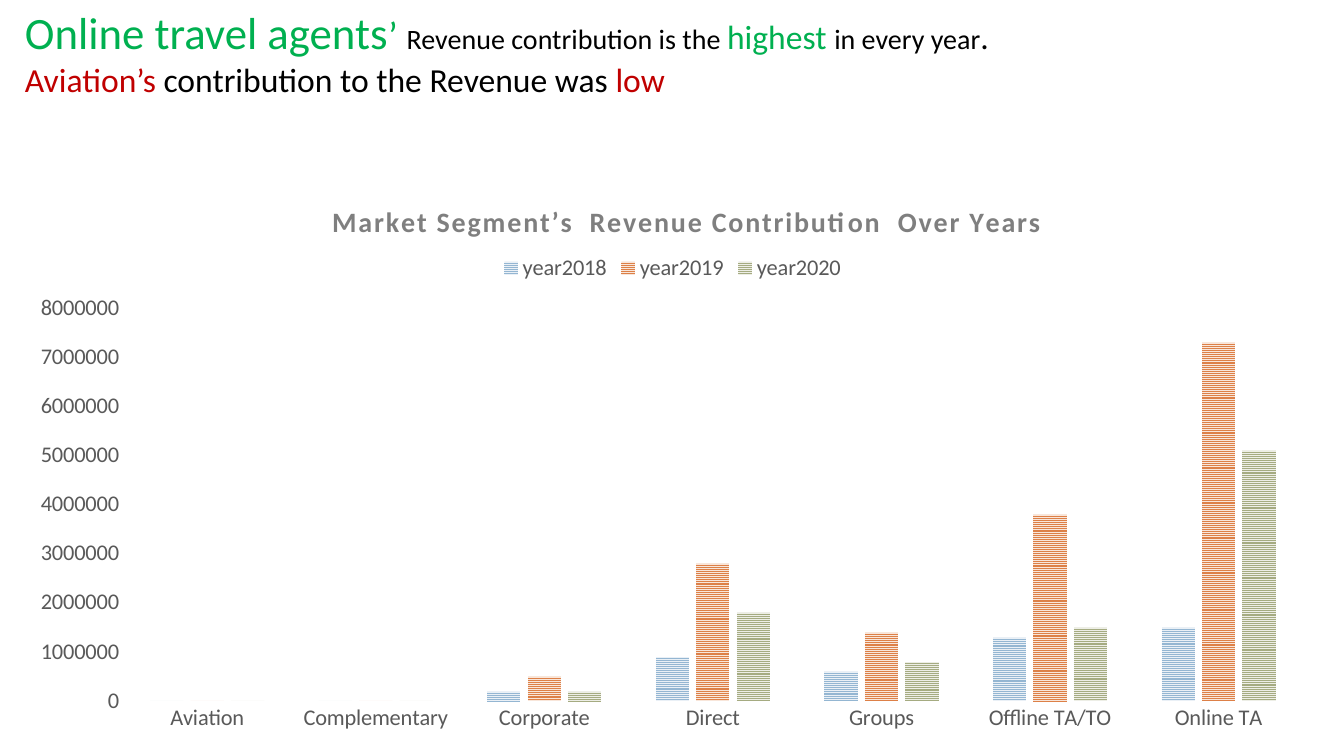
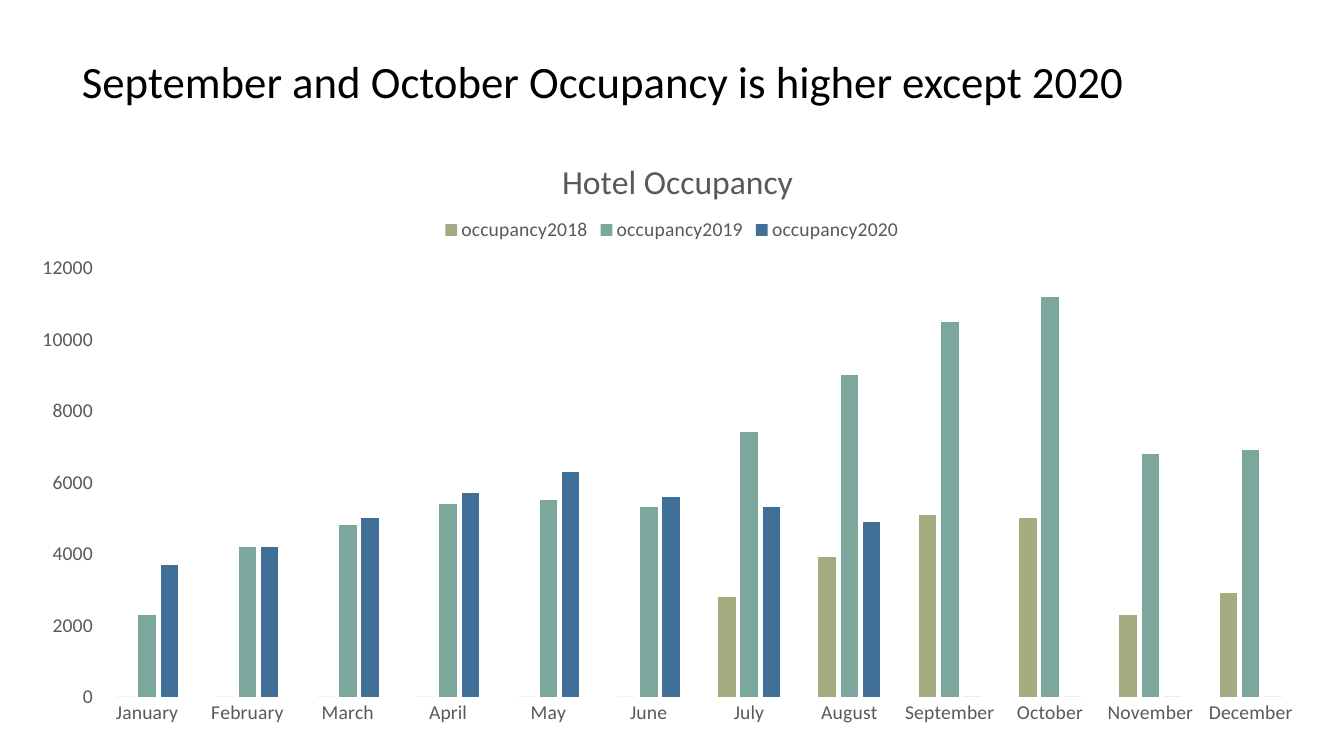
from lxml.etree import SubElement
from pptx import Presentation
from pptx.chart.data import CategoryChartData
from pptx.dml.color import RGBColor
from pptx.enum.chart import XL_CHART_TYPE, XL_LEGEND_POSITION, XL_TICK_MARK
from pptx.enum.dml import MSO_PATTERN
from pptx.enum.text import MSO_AUTO_SIZE, PP_ALIGN
from pptx.oxml.ns import qn
from pptx.util import Pt

EMU_PER_PX = 914400 / 100.8
FONT = "Calibri"
COLORS = {
    "black": "000000", "green": "00B050", "red": "C00000",
    "label": "595959", "heading": "7F7F7F",
    "blue": "94B6D2", "pale_blue": "EAF0F6",
    "orange": "DD8047", "pale_orange": "F8E6DA",
    "olive": "A5AB81", "pale_olive": "EDEEE6",
    "teal": "7BA79D", "navy": "407097",
}


def px(n):
    return round(n * EMU_PER_PX)


def rgb(name):
    return RGBColor.from_string(COLORS[name])


def style_font(font, size, color, bold=False):
    font.name = FONT
    font.size = Pt(size)
    font.bold = bold
    font.color.rgb = rgb(color)


def add_run(p, text, size=24, color="black", bold=False, spacing=0):
    r = p.add_run()
    r.text = text
    style_font(r.font, size, color, bold)
    if spacing:
        r._r.get_or_add_rPr().set("spc", str(spacing))


def add_text(slide, box, paragraphs, align=PP_ALIGN.LEFT):
    tf = slide.shapes.add_textbox(*map(px, box)).text_frame
    tf.word_wrap = True
    tf.auto_size = MSO_AUTO_SIZE.SHAPE_TO_FIT_TEXT
    for i, runs in enumerate(paragraphs):
        p = tf.add_paragraph() if i else tf.paragraphs[0]
        p.alignment = align
        for text, size, color in runs:
            add_run(p, text, size=size, color=color)


def place(element, index, chart_box, x, y, w=None, h=None):
    for old in element.findall(qn("c:layout")):
        element.remove(old)
    layout = SubElement(element, qn("c:layout"))
    element.insert(index, layout)
    manual = SubElement(layout, qn("c:manualLayout"))
    left, top, width, height = chart_box
    settings = [("xMode", "edge"), ("yMode", "edge"),
                ("x", (x - left) / width), ("y", (y - top) / height)]
    if w:
        settings.insert(0, ("layoutTarget", "inner"))
        settings += [("w", w / width), ("h", h / height)]
    for tag, value in settings:
        SubElement(manual, qn("c:" + tag)).set("val", str(value))


def style_axis(axis, size):
    axis.has_major_gridlines = False
    axis.major_tick_mark = XL_TICK_MARK.NONE
    axis.minor_tick_mark = XL_TICK_MARK.NONE
    axis.format.line.fill.background()
    style_font(axis.tick_labels.font, size, "label")


def fill_series(series, color, back=None):
    series.invert_if_negative = False
    fill = series.format.fill
    if back:
        fill.patterned()
        fill.pattern = MSO_PATTERN.NARROW_HORIZONTAL
        fill.back_color.rgb = rgb(back)
    else:
        fill.solid()
    fill.fore_color.rgb = rgb(color)


def add_columns(slide, box, categories, series, title, title_format, size,
                gap, overlap, top_value, step, title_at, legend_at, plot):
    data = CategoryChartData(number_format="General")
    data.categories = categories
    for name, values, _ in series:
        data.add_series(name, values)
    chart = slide.shapes.add_chart(
        XL_CHART_TYPE.COLUMN_CLUSTERED, *map(px, box), data).chart
    style_font(chart.font, size, "black")

    chart.has_title = True
    add_run(chart.chart_title.text_frame.paragraphs[0], title, **title_format)
    chart.chart_title.include_in_layout = False
    chart.has_legend = True
    chart.legend.position = XL_LEGEND_POSITION.TOP
    chart.legend.include_in_layout = False
    style_font(chart.legend.font, size, "label")

    for axis in (chart.category_axis, chart.value_axis):
        style_axis(axis, size)
    chart.value_axis.minimum_scale = 0
    chart.value_axis.maximum_scale = top_value
    chart.value_axis.major_unit = step

    columns = chart.plots[0]
    columns.vary_by_categories = False
    columns.gap_width = gap
    columns.overlap = overlap
    for item, (_, _, colors) in zip(columns.series, series):
        fill_series(item, *colors)

    root = chart._chartSpace.find(qn("c:chart"))
    place(root.find(qn("c:title")), 1, box, *title_at)
    place(root.find(qn("c:legend")), 1, box, *legend_at)
    place(root.find(qn("c:plotArea")), 0, box, *plot)


def add_revenue_slide(prs):
    slide = prs.slides.add_slide(prs.slide_layouts[6])
    segments = ["Aviation", "Complementary", "Corporate", "Direct", "Groups",
                "Offline TA/TO", "Online TA"]
    revenue = [
        ("year2018", [0, 0, 200000, 900000, 600000, 1300000, 1500000],
         ("blue", "pale_blue")),
        ("year2019", [0, 0, 500000, 2800000, 1400000, 3800000, 7300000],
         ("orange", "pale_orange")),
        ("year2020", [0, 0, 200000, 1800000, 800000, 1500000, 5100000],
         ("olive", "pale_olive")),
    ]
    add_columns(slide, (15, 172, 1314, 571), segments, revenue,
                "Market Segment’s  Revenue Contribution  Over Years",
                dict(size=20, color="heading", bold=True, spacing=120),
                size=16, gap=164, overlap=-22, top_value=8000000, step=1000000,
                title_at=(327, 197), legend_at=(497, 250),
                plot=(123, 308, 1180, 393))
    add_text(slide, (15, 0, 1252, 105), [
        [("Online travel agents", 32, "green"), ("’ ", 28, "green"),
         ("Revenue contribution is the ", 20, "black"),
         ("highest ", 24, "green"), ("in every year", 20, "black"),
         (".", 24, "black")],
        [("Aviation’s", 24, "red"),
         (" contribution to the Revenue was ", 24, "black"),
         ("low", 24, "red")],
    ], align=PP_ALIGN.JUSTIFY)


def add_occupancy_slide(prs):
    slide = prs.slides.add_slide(prs.slide_layouts[6])
    months = ["January", "February", "March", "April", "May", "June", "July",
              "August", "September", "October", "November", "December"]
    occupancy = [
        ("occupancy2018",
         [0] * 6 + [2800, 3900, 5100, 5000, 2300, 2900], ("olive",)),
        ("occupancy2019",
         [2300, 4200, 4800, 5400, 5500, 5300,
          7400, 9000, 10500, 11200, 6800, 6900], ("teal",)),
        ("occupancy2020",
         [3700, 4200, 5000, 5700, 6300, 5600, 5300, 4900] + [0] * 4,
         ("navy",)),
    ]
    add_columns(slide, (17, 125, 1310, 612), months, occupancy,
                "Hotel Occupancy", dict(size=24, color="label"),
                size=14, gap=219, overlap=-27, top_value=12000, step=2000,
                title_at=(556, 153), legend_at=(439, 214),
                plot=(97, 268, 1204, 429))
    add_text(slide, (72, 49, 1223, 65), [
        [("September and October Occupancy is higher except 2020",
          32, "black")],
    ])


def main():
    prs = Presentation()
    prs.slide_width = px(1344)
    prs.slide_height = px(756)
    add_revenue_slide(prs)
    add_occupancy_slide(prs)
    prs.save("out.pptx")


main()
